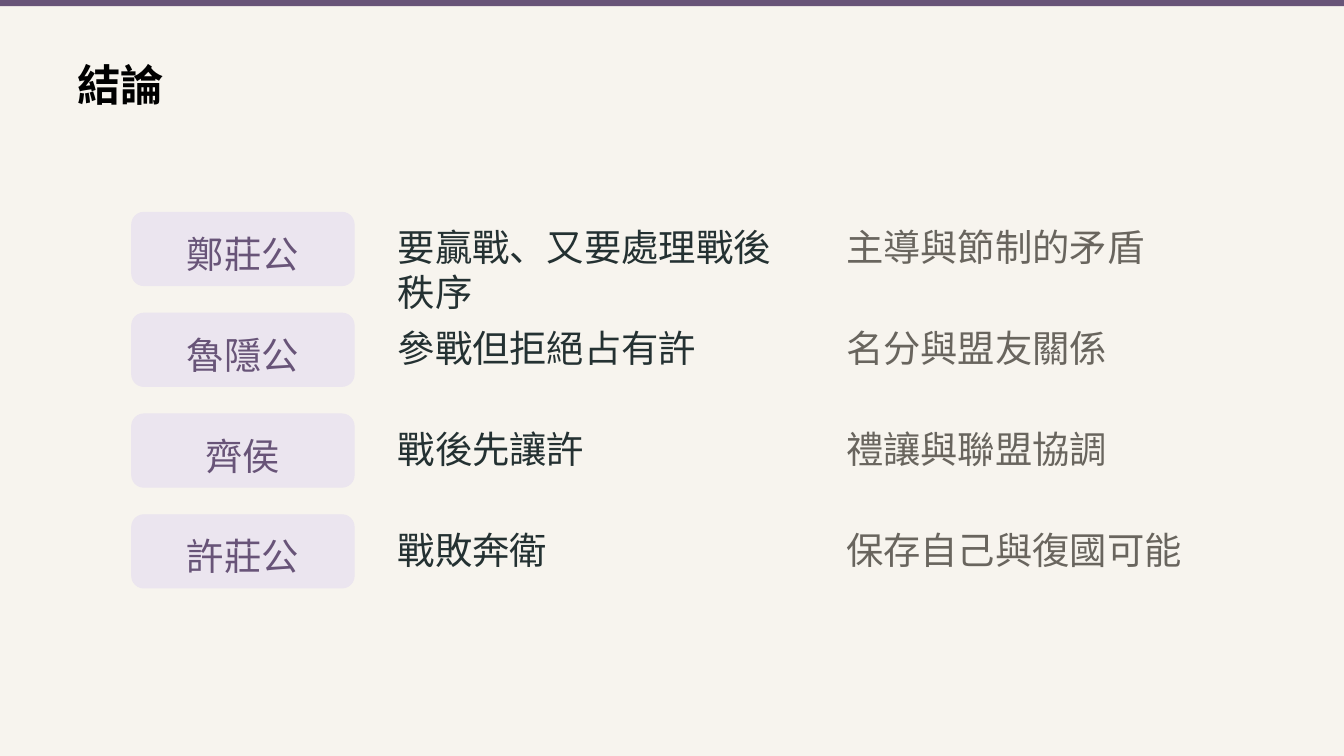
from dataclasses import dataclass

from lxml import etree
from pptx import Presentation
from pptx import util as u
from pptx.dml.color import RGBColor
from pptx.enum import shapes, text
from pptx.oxml.ns import qn

COLORS = {
    "background": "F7F4EE",
    "purple": "685478",
    "lilac": "EBE5EF",
    "black": "000000",
    "ink": "243132",
    "grey": "69655E",
}
BODY_SIZE = 40
FIRST_TOP, ROW_STEP = 3.16, 1.5
CHIP_LEFT, CHIP_WIDTH, CHIP_HEIGHT, CHIP_RADIUS = 1.96, 3.31, 1.09, 0.18
LINE_HEIGHT = 0.66


@dataclass(frozen=True)
class Style:
    color: str
    size: float = BODY_SIZE
    line_spacing: float = 48
    font: str = "Noto Sans CJK JP"
    bold: bool = False
    align: text.PP_ALIGN = text.PP_ALIGN.LEFT


@dataclass(frozen=True)
class Row:
    ruler: str
    action: str
    tension: str
    action_lines: int = 1


TITLE = Style("black", 46.5, 55.8, "Noto Sans", True)
RULER = Style("purple", align=text.PP_ALIGN.CENTER)
ACTION = Style("ink")
TENSION = Style("grey")

ROWS = [
    Row("鄭莊公", "要贏戰、又要處理戰後秩序", "主導與節制的矛盾", 2),
    Row("魯隱公", "參戰但拒絕占有許", "名分與盟友關係"),
    Row("齊侯", "戰後先讓許", "禮讓與聯盟協調"),
    Row("許莊公", "戰敗奔衛", "保存自己與復國可能"),
]


def rgb(name: str) -> RGBColor:
    return RGBColor.from_string(COLORS[name])


def set_all(target, values: dict) -> None:
    for name, value in values.items():
        setattr(target, name, value)


def add_block(slide, kind, left: float, top: float, width: float,
              height: float, color: str):
    shape = slide.shapes.add_shape(
        kind, *map(u.Inches, (left, top, width, height)))
    shape.shadow.inherit = False
    shape.fill.solid()
    shape.fill.fore_color.rgb = rgb(color)
    shape.line.fill.background()
    return shape


def add_text(slide, words: str, left: float, top: float, width: float,
             height: float, style: Style, indent: float = 0) -> None:
    box = slide.shapes.add_textbox(
        *map(u.Inches, (left, top, width, height)))
    set_all(box.text_frame, {
        "word_wrap": True,
        "margin_left": u.Inches(indent),
        "margin_top": 0,
        "margin_right": 0,
        "margin_bottom": 0,
    })
    paragraph = box.text_frame.paragraphs[0]
    set_all(paragraph, {"alignment": style.align,
                        "line_spacing": u.Pt(style.line_spacing)})
    run = paragraph.add_run()
    run.text = words
    set_all(run.font, {"name": style.font, "size": u.Pt(style.size),
                       "bold": style.bold})
    run.font.color.rgb = rgb(style.color)
    # East Asian characters take their own typeface
    east_asian = etree.SubElement(run.font._element, qn("a:ea"))
    east_asian.set("typeface", style.font)


def add_row(slide, row: Row, top: float) -> None:
    # Rounded chip with the ruler's name
    chip = add_block(slide, shapes.MSO_SHAPE.ROUNDED_RECTANGLE, CHIP_LEFT, top,
                     CHIP_WIDTH, CHIP_HEIGHT, "lilac")
    chip.adjustments[0] = CHIP_RADIUS / CHIP_HEIGHT
    chip.line.color.rgb = rgb("lilac")
    chip.line.width = u.Pt(1.05)
    name_width = len(row.ruler) * BODY_SIZE / 72 + 0.01
    name_left = CHIP_LEFT + (CHIP_WIDTH - name_width) / 2
    add_text(slide, row.ruler, name_left, top + 0.28, name_width,
             LINE_HEIGHT, RULER)

    # Action and the tension behind it
    add_text(slide, row.action, 5.92, top + 0.18, 5.9,
             LINE_HEIGHT * row.action_lines, ACTION)
    add_text(slide, row.tension, 12.59, top + 0.18, 5.45,
             LINE_HEIGHT, TENSION)


def main() -> None:
    presentation = Presentation()
    set_all(presentation, {"slide_width": u.Inches(20),
                           "slide_height": u.Inches(11.25)})
    slide = presentation.slides.add_slide(presentation.slide_layouts[6])
    slide.background.fill.solid()
    slide.background.fill.fore_color.rgb = rgb("background")

    # Top band and title
    add_block(slide, shapes.MSO_SHAPE.RECTANGLE, 0, 0, 20, 0.09, "purple")
    add_text(slide, "結論", 0.98, 0.87, 17.9, 0.77, TITLE, indent=0.17)

    # One row per ruler
    for index, row in enumerate(ROWS):
        add_row(slide, row, FIRST_TOP + index * ROW_STEP)

    presentation.save("out.pptx")


if __name__ == "__main__":
    main()
